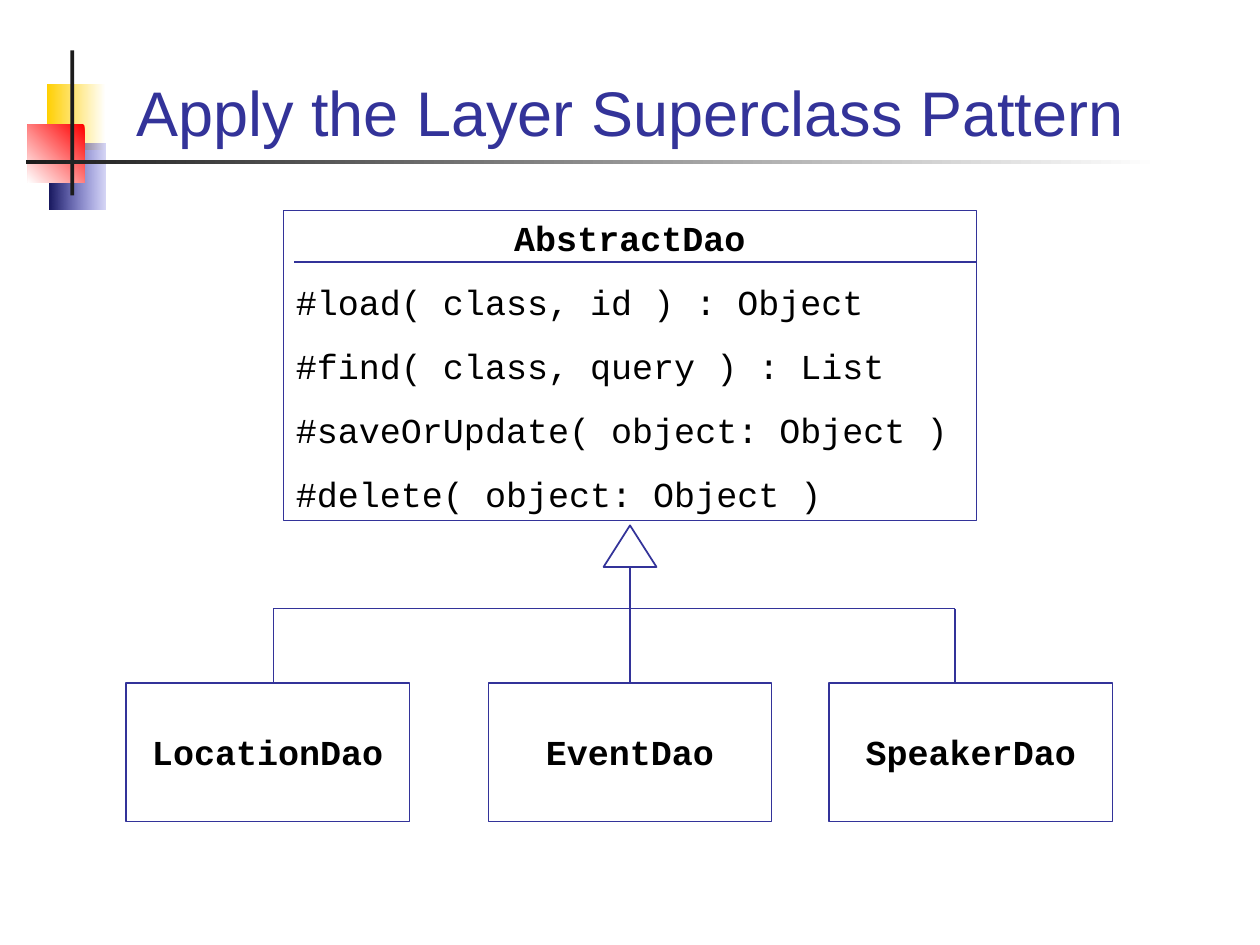
from dataclasses import dataclass
from typing import NamedTuple

from lxml.etree import SubElement
from pptx import Presentation
from pptx.dml.color import RGBColor
from pptx.enum.shapes import MSO_CONNECTOR, MSO_SHAPE
from pptx.enum.text import MSO_ANCHOR, PP_ALIGN
from pptx.oxml.ns import qn
from pptx.util import Inches, Pt


@dataclass(frozen=True)
class Theme:
    navy: str = "333399"
    black: str = "000000"
    white: str = "FFFFFF"
    dark: str = "1C1C1C"
    title_font: str = "Arial"
    code_font: str = "Courier New"
    title_size: float = 36
    code_size: float = 20
    method_gap: float = 12.5
    thin: float = 0.75
    medium: float = 1


class Box(NamedTuple):
    left: float
    top: float
    width: float
    height: float


class Accent(NamedTuple):
    box: Box
    start: str
    end: str
    angle: float = 180
    start_alpha: int = 100


class Child(NamedTuple):
    name: str
    left: float
    branch_x: float


T = Theme()
CENTRE = 5
CHILD_W, CHILD_H, CHILD_TOP = 2.25, 1.1, 5.42
BRANCH_Y, ARROW_BASE = 4.83, 4.5

ACCENTS = [
    Accent(Box(0.37, 0.67, 0.47, 0.52), T.white, "FFCF01"),
    Accent(Box(0.39, 1.14, 0.45, 0.52), "3333CC", "17175E", start_alpha=20),
    Accent(Box(0.22, 0.99, 0.45, 0.46), "FF0000", T.white, angle=225),
]
RULE = Accent(Box(0.21, 1.27, 9, 0.03), T.white, T.dark)
METHODS = [
    "#load( class, id ) : Object",
    "#find( class, query ) : List",
    "#saveOrUpdate( object: Object )",
    "#delete( object: Object )",
]
CHILDREN = [
    Child("LocationDao", 1, 2.17),
    Child("EventDao", CENTRE - CHILD_W / 2, CENTRE),
    Child("SpeakerDao", 6.58, 7.58),
]


def rgb(value: str) -> RGBColor:
    return RGBColor.from_string(value)


def add_shape(s, box: Box, kind=MSO_SHAPE.RECTANGLE, fill: str | None = None,
              line: float | None = None):
    sp = s.shapes.add_shape(kind, *map(Inches, box))
    sp.shadow.inherit = False
    if fill:
        sp.fill.solid()
        sp.fill.fore_color.rgb = rgb(fill)
    else:
        sp.fill.background()
    if line:
        sp.line.color.rgb = rgb(T.navy)
        sp.line.width = Pt(line)
    else:
        sp.line.fill.background()
    return sp


def add_accent(s, accent: Accent) -> None:
    sp = add_shape(s, accent.box)
    sp.fill.gradient()
    sp.fill.gradient_angle = accent.angle
    for stop, color in zip(sp.fill.gradient_stops, (accent.start, accent.end)):
        stop.color.rgb = rgb(color)
    if accent.start_alpha < 100:
        color = next(sp.element.iter(qn("a:srgbClr")))
        SubElement(color, qn("a:alpha"), val=str(accent.start_alpha * 1000))


def add_line(s, x1: float, y1: float, x2: float, y2: float, width: float):
    line = s.shapes.add_connector(MSO_CONNECTOR.STRAIGHT,
                                  *map(Inches, (x1, y1, x2, y2)))
    line.line.color.rgb = rgb(T.navy)
    line.line.width = Pt(width)
    SubElement(line.element.spPr, qn("a:effectLst"))
    return line


def add_text(sp, text: str, *, font: str = T.code_font, size: float = T.code_size,
             color: str = T.black, bold: bool = False, align=PP_ALIGN.LEFT,
             before: float = 0, anchor=MSO_ANCHOR.TOP) -> None:
    tf = sp.text_frame
    tf.word_wrap = True
    tf.vertical_anchor = anchor
    p = tf.add_paragraph() if tf.text else tf.paragraphs[0]
    p.alignment = align
    p.space_before = Pt(before)
    r = p.add_run()
    r.text = text
    r.font.name = font
    r.font.size = Pt(size)
    r.font.bold = bold
    r.font.color.rgb = rgb(color)


def add_child(s, child: Child) -> None:
    sp = add_shape(s, Box(child.left, CHILD_TOP, CHILD_W, CHILD_H), line=T.thin)
    sp.text_frame.margin_top = Inches(0.38)
    add_text(sp, child.name, bold=True, align=PP_ALIGN.CENTER)
    start_y = ARROW_BASE if child.branch_x == CENTRE else BRANCH_Y
    line = add_line(s, child.branch_x, start_y, child.branch_x, CHILD_TOP, T.medium)
    if child.branch_x == CENTRE:
        line.end_connect(sp, 0)


def main() -> None:
    prs = Presentation()
    prs.slide_width, prs.slide_height = Inches(10), Inches(7.5)
    s = prs.slides.add_slide(prs.slide_layouts[6])

    # Corner decoration and title rule
    for accent in ACCENTS:
        add_accent(s, accent)
    add_shape(s, Box(0.56, 0.4, 0.03, 1.15), fill=T.dark)
    add_accent(s, RULE)

    # Title
    title = s.shapes.add_textbox(*map(Inches, Box(0.67, 0.28, 8.66, 0.95)))
    add_text(title, "Apply the Layer Superclass Pattern", font=T.title_font,
             size=T.title_size, color=T.navy, align=PP_ALIGN.CENTER,
             anchor=MSO_ANCHOR.BOTTOM)

    # Superclass
    parent = add_shape(s, Box(2.25, 1.67, 5.5, 2.46), line=T.thin)
    add_text(parent, "AbstractDao", bold=True, align=PP_ALIGN.CENTER)
    for method in METHODS:
        add_text(parent, method, before=T.method_gap)
    add_line(s, 7.75, 2.08, 2.33, 2.08, T.thin)

    # Inheritance arrow, branches and subclasses
    add_shape(s, Box(4.79, 4.17, 0.42, 0.33), MSO_SHAPE.ISOSCELES_TRIANGLE,
              fill=T.white, line=T.medium)
    add_line(s, CHILDREN[0].branch_x, BRANCH_Y, CHILDREN[-1].branch_x, BRANCH_Y,
             T.medium)
    for child in CHILDREN:
        add_child(s, child)

    prs.save("out.pptx")


if __name__ == "__main__":
    main()
